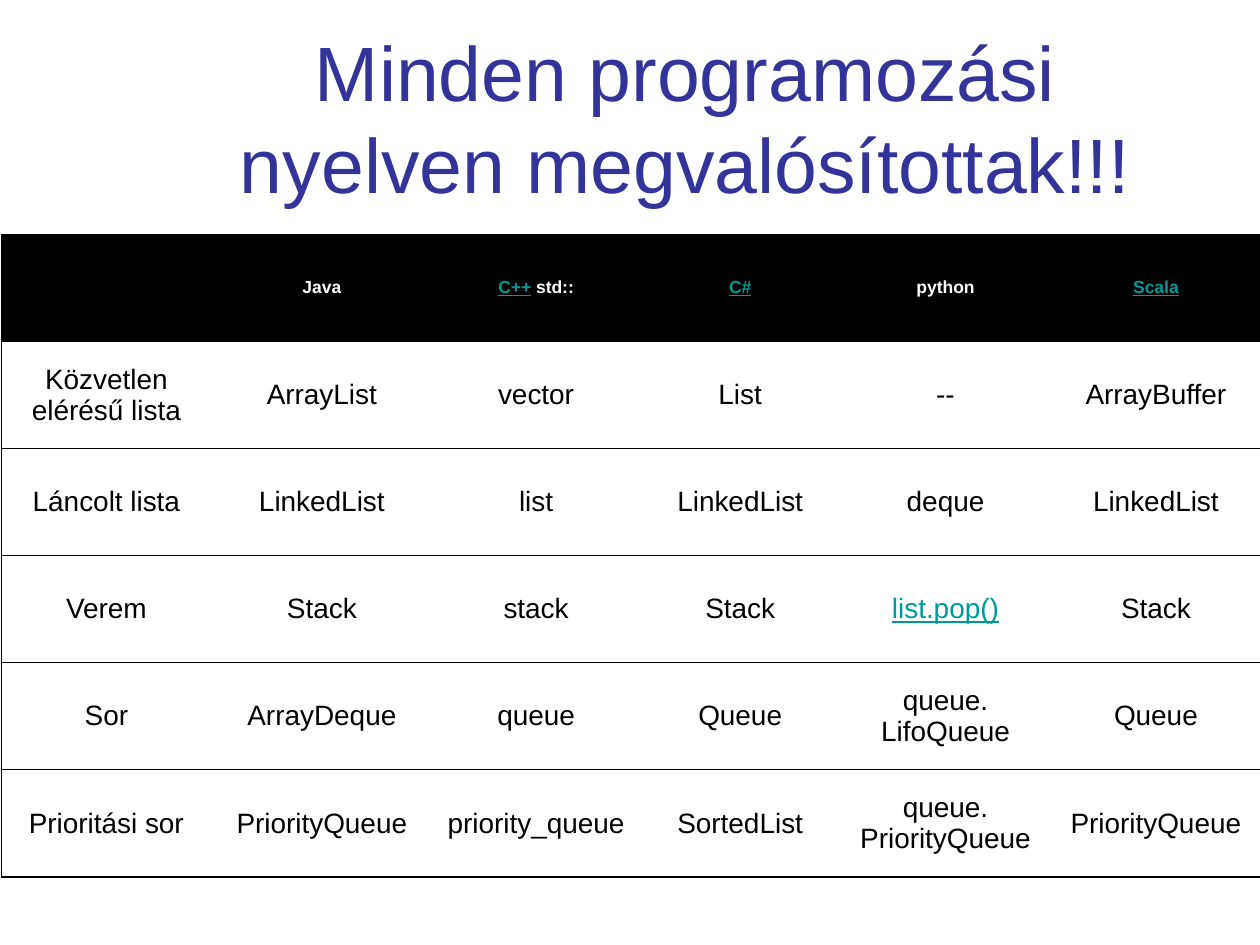
from lxml import etree
from pptx import Presentation
from pptx import util as u
from pptx.dml.color import RGBColor
from pptx.enum import text
from pptx.oxml.ns import qn

TITLE = "Minden programozási nyelven megvalósítottak!!!"
ROWS = [
    ["", "Java", "C++| std::", "C#", "python", "Scala"],
    ["Közvetlen elérésű lista", "ArrayList", "vector", "List", "--", "ArrayBuffer"],
    ["Láncolt lista", "LinkedList", "list", "LinkedList", "deque", "LinkedList"],
    ["Verem", "Stack", "stack", "Stack", "list.pop()", "Stack"],
    ["Sor", "ArrayDeque", "queue", "Queue", "queue.\nLifoQueue", "Queue"],
    ["Prioritási sor", "PriorityQueue", "priority_queue", "SortedList",
     "queue.\nPriorityQueue", "PriorityQueue"],
]
LINKS = {"C++", "C#", "Scala", "list.pop()"}
COL_WIDTHS = [1.67, 1.75, 1.65, 1.59, 1.67, 1.67]
ROW_HEIGHT = 0.85

THEME = {
    "title": {"name": "Arial", "size": u.Pt(44), "bold": False},
    "header": {"name": "Arial", "size": u.Pt(10), "bold": True},
    "body": {"name": "Arial", "size": u.Pt(16), "bold": False},
    "title_color": "333399",
    "link_color": "009999",
    "dark": "000000",
    "light": "FFFFFF",
    "line": u.Pt(0.75),
}


def format_font(font, style, color):
    for name, value in THEME[style].items():
        setattr(font, name, value)
    font.color.rgb = RGBColor.from_string(THEME[color])


def add_text(cell, content, style, color):
    tf = cell.text_frame
    for i, line in enumerate(content.split("\n")):
        p = tf.paragraphs[0] if i == 0 else tf.add_paragraph()
        p.alignment = text.PP_ALIGN.CENTER
        for part in filter(None, line.split("|")):
            r = p.add_run()
            r.text = part
            is_link = part in LINKS
            format_font(r.font, style, "link_color" if is_link else color)
            r.font.underline = is_link


def set_borders(cell, visible):
    tc_pr = cell._tc.get_or_add_tcPr()
    for i, side in enumerate("LRTB"):
        ln = etree.Element(qn(f"a:ln{side}"), w=str(THEME["line"]))
        if side in visible:
            fill = etree.SubElement(ln, qn("a:solidFill"))
            etree.SubElement(fill, qn("a:srgbClr"), val=THEME["dark"])
        else:
            etree.SubElement(ln, qn("a:noFill"))
        tc_pr.insert(i, ln)


def main():
    prs = Presentation()
    prs.slide_width, prs.slide_height = u.Inches(10), u.Inches(7.5)
    s = prs.slides.add_slide(prs.slide_layouts[5])

    title = s.shapes.title
    title.left, title.top = u.Inches(1.38), u.Inches(0.3)
    title.width, title.height = u.Inches(8.12), u.Inches(1.25)
    tf = title.text_frame
    tf.text = TITLE
    tf.word_wrap = True
    tf.auto_size = text.MSO_AUTO_SIZE.NONE
    tf.vertical_anchor = text.MSO_ANCHOR.MIDDLE
    p = tf.paragraphs[0]
    p.alignment = text.PP_ALIGN.CENTER
    format_font(p.runs[0].font, "title", "title_color")

    table = s.shapes.add_table(
        len(ROWS), len(COL_WIDTHS), u.Inches(0.01), u.Inches(1.86),
        u.Inches(sum(COL_WIDTHS)), u.Inches(ROW_HEIGHT * len(ROWS))).table
    table.horz_banding = False
    for column, width in zip(table.columns, COL_WIDTHS):
        column.width = u.Inches(width)

    for i, row in enumerate(ROWS):
        table.rows[i].height = u.Inches(ROW_HEIGHT)
        style, ink, paper = (("header", "light", "dark") if i == 0
                             else ("body", "dark", "light"))
        for j, content in enumerate(row):
            cell = table.cell(i, j)
            cell.vertical_anchor = text.MSO_ANCHOR.MIDDLE
            cell.fill.solid()
            cell.fill.fore_color.rgb = RGBColor.from_string(THEME[paper])
            add_text(cell, content, style, ink)
            edges = {0: "L", len(row) - 1: "R"}
            set_borders(cell, "TB" + edges.get(j, ""))

    prs.save("out.pptx")


if __name__ == "__main__":
    main()
